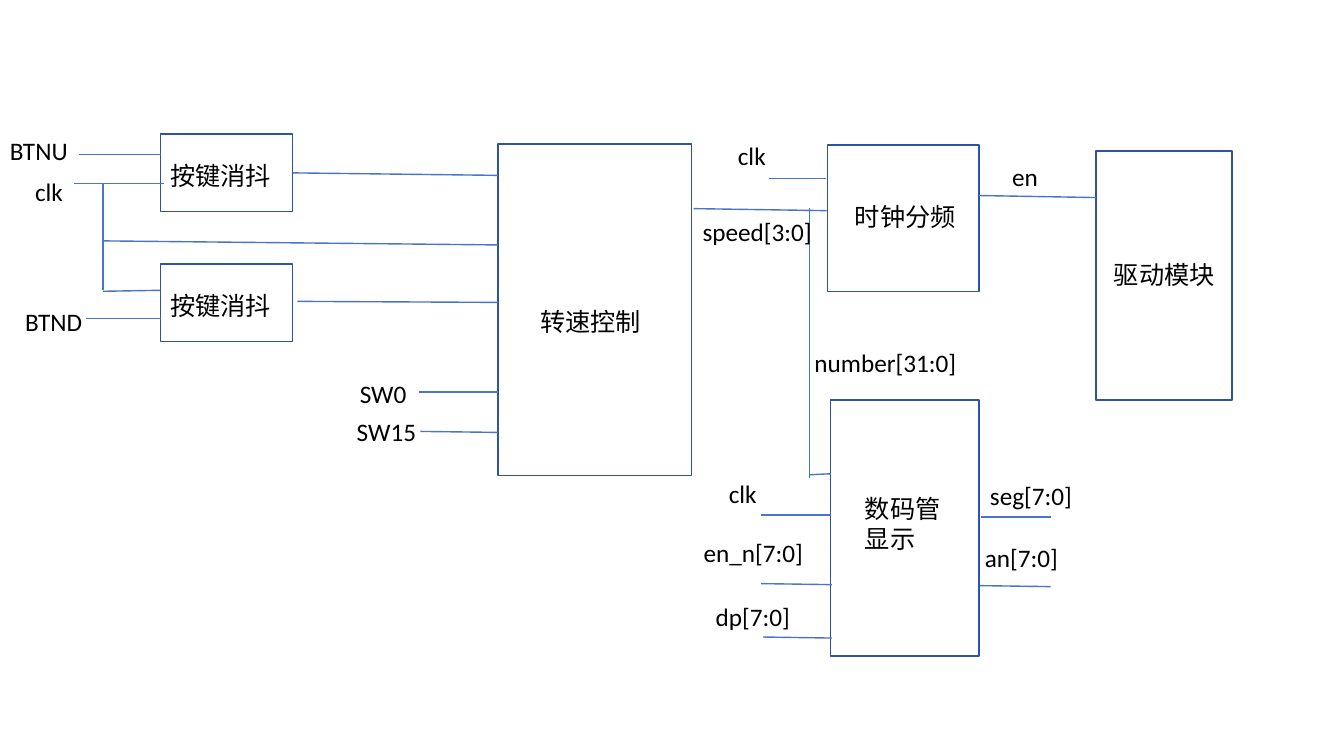
from lxml.etree import SubElement
from pptx import Presentation
from pptx.dml.color import RGBColor
from pptx.enum.shapes import MSO_CONNECTOR, MSO_SHAPE
from pptx.enum.text import MSO_AUTO_SIZE
from pptx.oxml.ns import qn
from pptx.util import Inches, Pt

BLOCK_LINE = "2E54A1"
WIRE_LINE = "4874CB"
TEXT_COLOR = "000000"
WIDE = 4.44
LINE_HEIGHT = 0.4

# Blocks: name -> left, top, width, height
BLOCKS = {
    "debounce_up": (1.59, 1.33, 1.31, 0.77),
    "debounce_down": (1.59, 2.62, 1.31, 0.77),
    "speed_control": (4.94, 1.43, 1.92, 3.29),
    "clock_divider": (8.21, 1.44, 1.5, 1.45),
    "digit_display": (8.24, 3.97, 1.47, 2.54),
    "driver": (10.87, 1.5, 1.35, 2.47),
}

# Wires: start x, start y, end x, end y
WIRES = [
    # Buttons and shared clock
    (0.73, 1.82, 1.63, 1.82),
    (1.02, 1.82, 1.02, 2.88),
    (1.02, 2.89, 1.59, 2.88),
    (0.78, 1.53, 1.6, 1.53),
    (0.85, 3.16, 1.6, 3.16),
    # Speed control inputs
    (1.03, 2.39, 4.94, 2.43),
    (2.95, 2.99, 4.94, 3),
    (4.16, 3.89, 4.94, 3.89),
    (4.17, 4.28, 4.94, 4.29),
    # Clock divider inputs and output
    (7.63, 1.77, 8.19, 1.77),
    (6.88, 2.07, 8.2, 2.09),
    (9.71, 1.94, 10.87, 1.96),
    # Display inputs and outputs
    (8.03, 2.06, 8.03, 4.74),
    (8.03, 4.71, 8.24, 4.7),
    (7.55, 5.11, 8.24, 5.11),
    (7.55, 5.79, 8.25, 5.8),
    (7.57, 6.32, 8.25, 6.33),
    (9.73, 5.13, 10.42, 5.13),
    (9.72, 5.81, 10.42, 5.82),
]

# Labels: text, left, top, width
LABELS = [
    # Block names
    ("按键消抖", 1.59, 1.54, WIDE),
    ("按键消抖", 1.59, 2.83, WIDE),
    ("转速控制", 5.26, 2.99, WIDE),
    ("时钟分频", 8.38, 1.95, WIDE),
    ("数码管\n显示", 8.48, 4.84, WIDE),
    ("驱动模块", 10.95, 2.52, 1.35),
    # Signal names
    ("BTNU", 0, 1.29, WIDE),
    ("clk", 0.25, 1.7, WIDE),
    ("BTND", 0.15, 2.99, WIDE),
    ("SW0", 3.47, 3.7, 1.48),
    ("SW15", 3.44, 4.08, 1.26),
    ("clk", 7.22, 1.34, WIDE),
    ("speed[3:0]", 6.87, 2.1, 1.7),
    ("en", 9.94, 1.55, 0.93),
    ("number[31:0]", 7.98, 3.4, WIDE),
    ("clk", 7.13, 4.7, 0.61),
    ("en_n[7:0]", 6.88, 5.28, 1.37),
    ("dp[7:0]", 7, 5.92, 1.25),
    ("seg[7:0]", 9.72, 4.72, 1.2),
    ("an[7:0]", 9.67, 5.33, 1.37),
]


def color(hex_value):
    return RGBColor.from_string(hex_value)


def set_line(shape, hex_value):
    shape.line.color.rgb = color(hex_value)
    shape.line.width = Pt(1)


def add_block(slide, bounds):
    shape = slide.shapes.add_shape(MSO_SHAPE.RECTANGLE, *map(Inches, bounds))
    shape.shadow.inherit = False
    shape.fill.background()
    set_line(shape, BLOCK_LINE)
    return shape


def add_wire(slide, ends):
    wire = slide.shapes.add_connector(MSO_CONNECTOR.STRAIGHT, *map(Inches, ends))
    set_line(wire, WIRE_LINE)
    SubElement(wire._element.spPr, qn("a:effectLst"))
    return wire


def add_label(slide, text, left, top, width):
    lines = text.count("\n") + 1
    height = LINE_HEIGHT + 0.3 * (lines - 1)
    box = slide.shapes.add_textbox(*map(Inches, (left, top, width, height)))
    frame = box.text_frame
    frame.word_wrap = True
    frame.auto_size = MSO_AUTO_SIZE.SHAPE_TO_FIT_TEXT
    frame.text = text
    for paragraph in frame.paragraphs:
        for name, value in {"name": "Calibri", "size": Pt(18)}.items():
            setattr(paragraph.font, name, value)
        paragraph.font.color.rgb = color(TEXT_COLOR)


def main():
    presentation = Presentation()
    presentation.slide_width = Inches(13.33)
    presentation.slide_height = Inches(7.5)
    slide = presentation.slides.add_slide(presentation.slide_layouts[6])

    # Blocks
    blocks = {name: add_block(slide, bounds) for name, bounds in BLOCKS.items()}

    # Wires; the upper debounce output leaves from the middle of its block
    for ends in WIRES:
        add_wire(slide, ends)
    debounce_output = add_wire(slide, (2.9, 1.73, 4.94, 1.74))
    debounce_output.begin_connect(blocks["debounce_up"], 3)

    # Labels
    for label in LABELS:
        add_label(slide, *label)

    presentation.save("out.pptx")


if __name__ == "__main__":
    main()
